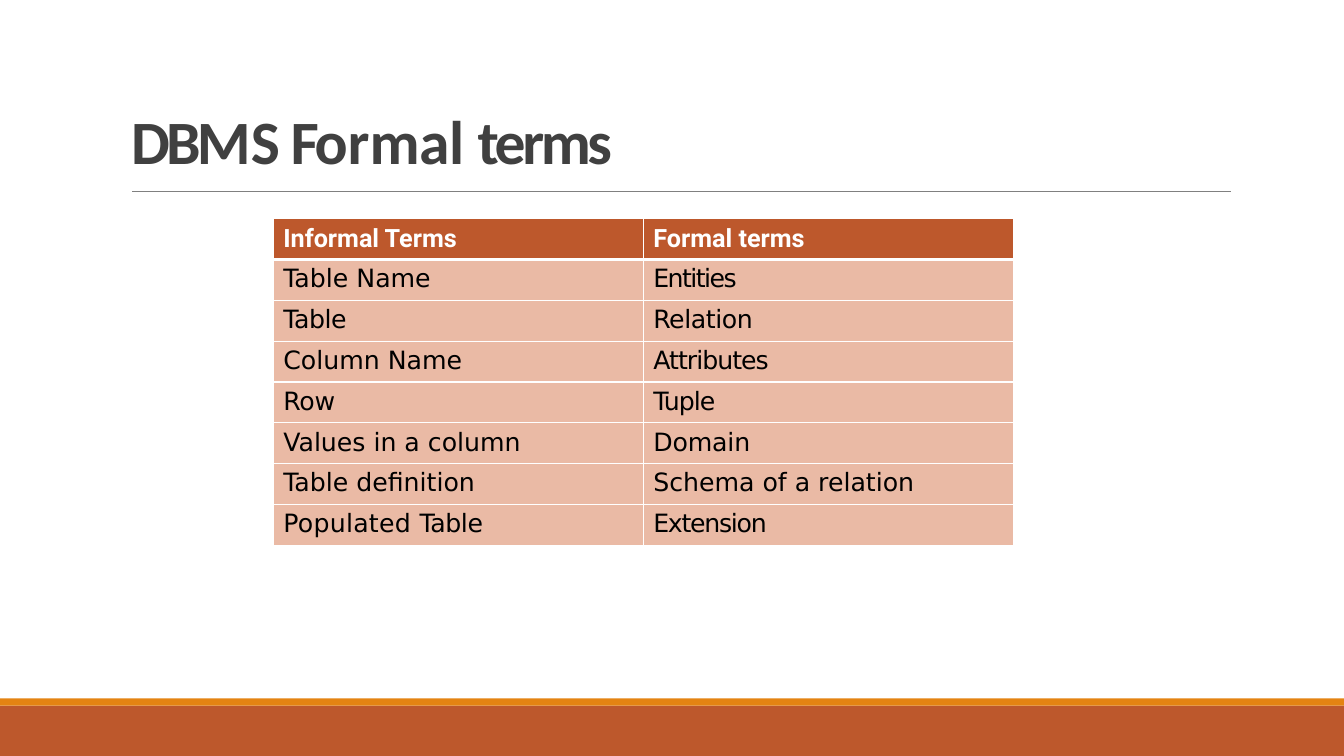
import pptx
import pptx.util
import pptx.dml.color
import pptx.enum.shapes
import pptx.enum.text
import pptx.oxml.ns
from lxml import etree

Inches, Pt = pptx.util.Inches, pptx.util.Pt

# Content: each text is a list of (words, letter spacing in points)
TITLE = [("DBM", -2.7), ("S ", -2.4), ("Fo", -2.6), ("r", -2.1),
         ("mal ", -0.4), ("terms", -2.5)]
TERMS = [
    ([("Informal Terms", 0)], [("Formal terms", 0)]),
    ([("Table Name", 0)], [("Entities", -1.1)]),
    ([("Table", -0.3)], [("Relation", -0.3)]),
    ([("Column Name", 0)], [("Attributes", -0.7)]),
    ([("Row", -0.2)], [("Tuple", -0.7)]),
    ([("Values in a column", 0)], [("Domain", -0.1)]),
    ([("Table definition", 0)], [("Schema of a relation", 0)]),
    ([("Populated ", 0.2), ("Table", -0.3)], [("Extension", -0.9)]),
]
COLORS = {"rust": "BD582C", "orange": "E48312", "rule": "808080",
          "peach": "EABAA5", "white": "FFFFFF", "black": "000000",
          "title": "404040"}
WIDTH, HEIGHT = 13.33, 7.5
BANDS = [(7, 0.5, "rust"), (6.93, 0.07, "orange")]
COL, ROW = 3.67, 0.405


def color(name):
    return pptx.dml.color.RGBColor.from_string(COLORS[name])


def write(frame, parts, size, face, ink, bold):
    par = frame.paragraphs[0]
    par.alignment = pptx.enum.text.PP_ALIGN.LEFT
    for words, gap in parts:
        run = par.add_run()
        run.text = words
        font = run.font
        font.size, font.name, font.bold = Pt(size), face, bold
        font.color.rgb = color(ink)
        font._element.set("spc", str(round(gap * 100)))


def border(cell, widths):
    props = cell._tc.get_or_add_tcPr()
    for spot, (side, width) in enumerate(widths.items()):
        line = etree.Element(pptx.oxml.ns.qn("a:ln" + side), w=str(Pt(width)))
        fill = etree.SubElement(line, pptx.oxml.ns.qn("a:solidFill"))
        etree.SubElement(fill, pptx.oxml.ns.qn("a:srgbClr"), val=COLORS["white"])
        props.insert(spot, line)


deck = pptx.Presentation()
deck.slide_width, deck.slide_height = Inches(WIDTH), Inches(HEIGHT)
slide = deck.slides.add_slide(deck.slide_layouts[5])
shapes = slide.shapes

# Bands at the foot
for top, high, fill in BANDS:
    band = shapes.add_shape(pptx.enum.shapes.MSO_SHAPE.RECTANGLE, 0,
                            Inches(top), Inches(WIDTH), Inches(high))
    band.shadow.inherit = False
    band.fill.solid()
    band.fill.fore_color.rgb = color(fill)
    band.line.fill.background()

# Rule below the title
rule = shapes.add_connector(pptx.enum.shapes.MSO_CONNECTOR.STRAIGHT,
                            Inches(1.31), Inches(1.9), Inches(12.21), Inches(1.9))
rule.line.color.rgb = color("rule")
rule.line.width = Pt(0.5)
etree.SubElement(rule._element.spPr, pptx.oxml.ns.qn("a:effectLst"))

# Title
title = shapes.title
title.left, title.top = Inches(1.29), Inches(1)
title.width, title.height = Inches(5.38), Inches(0.75)
frame = title.text_frame
frame.auto_size = pptx.enum.text.MSO_AUTO_SIZE.NONE
frame.vertical_anchor = pptx.enum.text.MSO_ANCHOR.BOTTOM
frame.margin_left = frame.margin_top = Inches(0.01)
frame.margin_right = frame.margin_bottom = 0
write(frame, TITLE, 44, "Calibri", "title", True)

# Table of terms
table = shapes.add_table(len(TERMS), 2, Inches(2.71), Inches(2.17),
                         Inches(2 * COL), Inches(ROW * len(TERMS))).table
for col in table.columns:
    col.width = Inches(COL)
for r, row in enumerate(TERMS):
    table.rows[r].height = Inches(ROW)
    head = r == 0
    for c, parts in enumerate(row):
        cell = table.cell(r, c)
        cell.margin_left, cell.margin_top = Inches(0.1), Inches(0.05)
        cell.margin_right = cell.margin_bottom = 0
        cell.fill.solid()
        cell.fill.fore_color.rgb = color("rust" if head else "peach")
        border(cell, {"L": 1, "R": 1, "T": 3 if r == 1 else 1, "B": 3 if head else 1})
        write(cell.text_frame, parts, 18, "Roboto" if head else "DejaVu Sans",
              "white" if head else "black", head)

deck.save("out.pptx")
